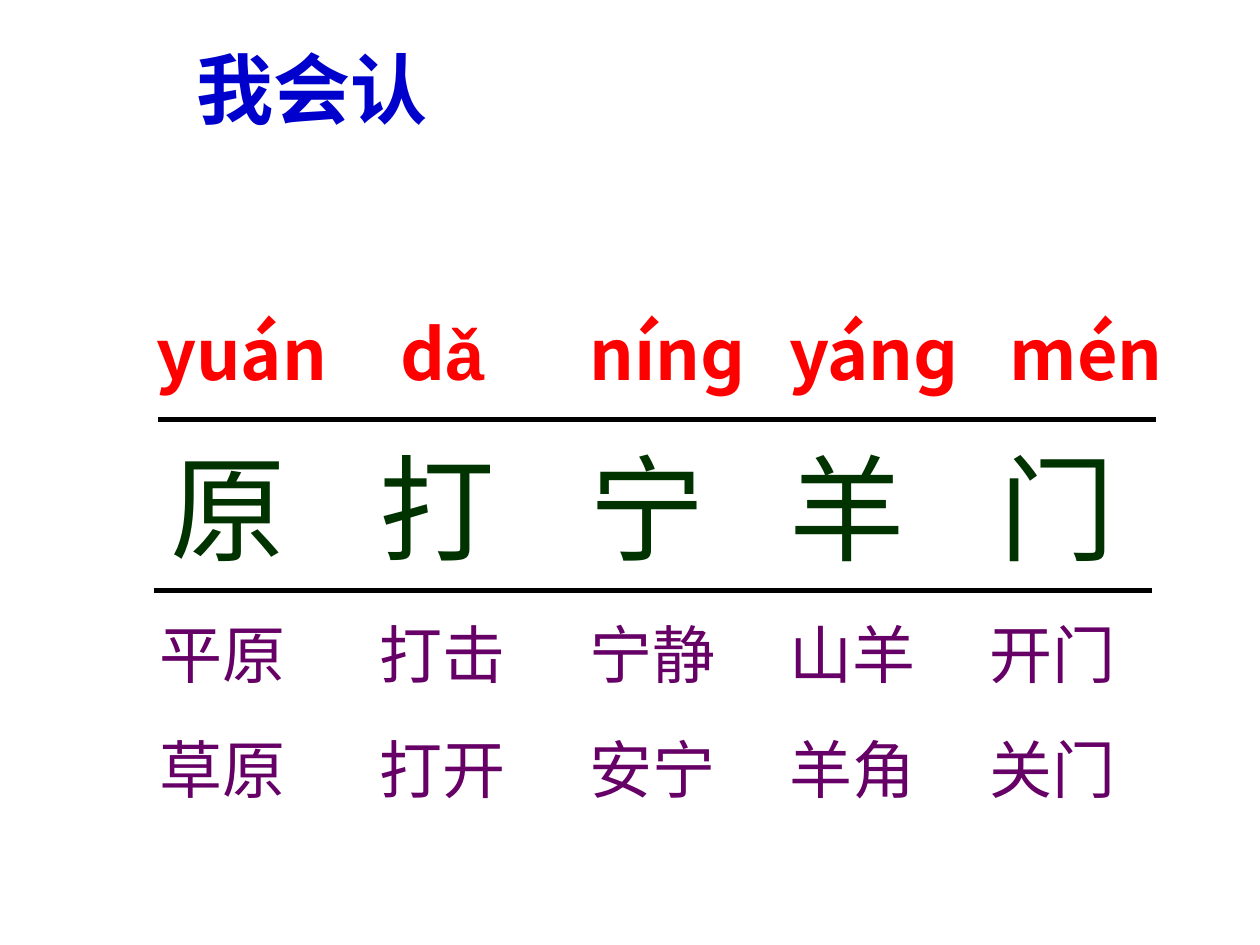
from pptx import Presentation
from pptx.dml.color import RGBColor
from pptx.enum.shapes import MSO_CONNECTOR
from pptx.enum.text import MSO_ANCHOR, MSO_AUTO_SIZE, PP_ALIGN
from pptx.oxml.ns import qn
from pptx.util import Cm, Pt
from lxml import etree

COLORS = {"title": "0000CC", "pinyin": "FF0000", "character": "003300",
          "word": "660066", "rule": "000000"}
LATIN, PINYIN_FONT = "Arial", "Noto Sans CJK SC"

TITLE = "我会认"
# Each pinyin is a list of (text, font) runs
ENTRIES = [
    ([("yuán", PINYIN_FONT)], "原", ["平原", "草原"]),
    ([("d", PINYIN_FONT), ("ǎ", LATIN)], "打", ["打击", "打开"]),
    ([("nínɡ", PINYIN_FONT)], "宁", ["宁静", "安宁"]),
    ([("yánɡ", PINYIN_FONT)], "羊", ["山羊", "羊角"]),
    ([("mén", PINYIN_FONT)], "门", ["开门", "关门"]),
]

# Left edges of the five columns in each row, in cm
PINYIN_LEFTS = [2.9, 7.83, 11.64, 15.66, 20.11]
CHARACTER_LEFTS = [3.18, 7.41, 11.64, 15.66, 19.9]
WORD_LEFTS = [2.96, 7.41, 11.64, 15.66, 19.69]
RULES = [(3.18, 8.46), (3.1, 11.91)]  # left, top
RULE_LENGTH = 20.12


def rgb(name):
    return RGBColor.from_string(COLORS[name])


def fill_text(shape, paragraphs, size, color, bold=False, gap=0):
    """Write paragraphs, each a list of (text, font) runs."""
    frame = shape.text_frame
    frame.word_wrap = True
    frame.auto_size = MSO_AUTO_SIZE.NONE
    frame.vertical_anchor = MSO_ANCHOR.TOP
    for index, runs in enumerate(paragraphs):
        paragraph = frame.add_paragraph() if index else frame.paragraphs[0]
        paragraph.alignment = PP_ALIGN.LEFT
        paragraph.space_before = Pt(gap if index else 0)
        font = paragraph.font
        font.size, font.bold, font.name = Pt(size), bold, runs[0][1]
        font.color.rgb = rgb(color)
        for text, typeface in runs:
            run = paragraph.add_run()
            run.text = text
            if typeface != font.name:
                run.font.name = typeface


def add_text(left, top, width, height, *args, **style):
    box = slide.shapes.add_textbox(Cm(left), Cm(top), Cm(width), Cm(height))
    fill_text(box, *args, **style)


prs = Presentation()
prs.slide_width, prs.slide_height = Cm(25.4), Cm(19.05)
slide = prs.slides.add_slide(prs.slide_layouts[5])

# Title
title = slide.shapes.title
title.left, title.top, title.width, title.height = Cm(3.7), Cm(0.7), Cm(7.2), Cm(2.14)
fill_text(title, [[(TITLE, LATIN)]], 44, "title", bold=True)

# Columns: pinyin, character, example words
columns = zip(ENTRIES, PINYIN_LEFTS, CHARACTER_LEFTS, WORD_LEFTS)
for (pinyin, character, words), pinyin_left, character_left, word_left in columns:
    add_text(pinyin_left, 6.14, 5.29, 1.96, [pinyin], 40, "pinyin", bold=True)
    add_text(character_left, 8.68, 3.6, 3.05, [[(character, LATIN)]], 66, "character")
    add_text(word_left, 12.28, 3.18, 4.11, [[(word, LATIN)] for word in words],
             36, "word", gap=22.5)

# Rules above and below the characters
for left, top in RULES:
    rule = slide.shapes.add_connector(MSO_CONNECTOR.STRAIGHT, Cm(left), Cm(top),
                                      Cm(left + RULE_LENGTH), Cm(top))
    rule.line.color.rgb = rgb("rule")
    rule.line.width = Pt(3)
    etree.SubElement(rule._element.spPr, qn("a:effectLst"))

prs.save("out.pptx")
